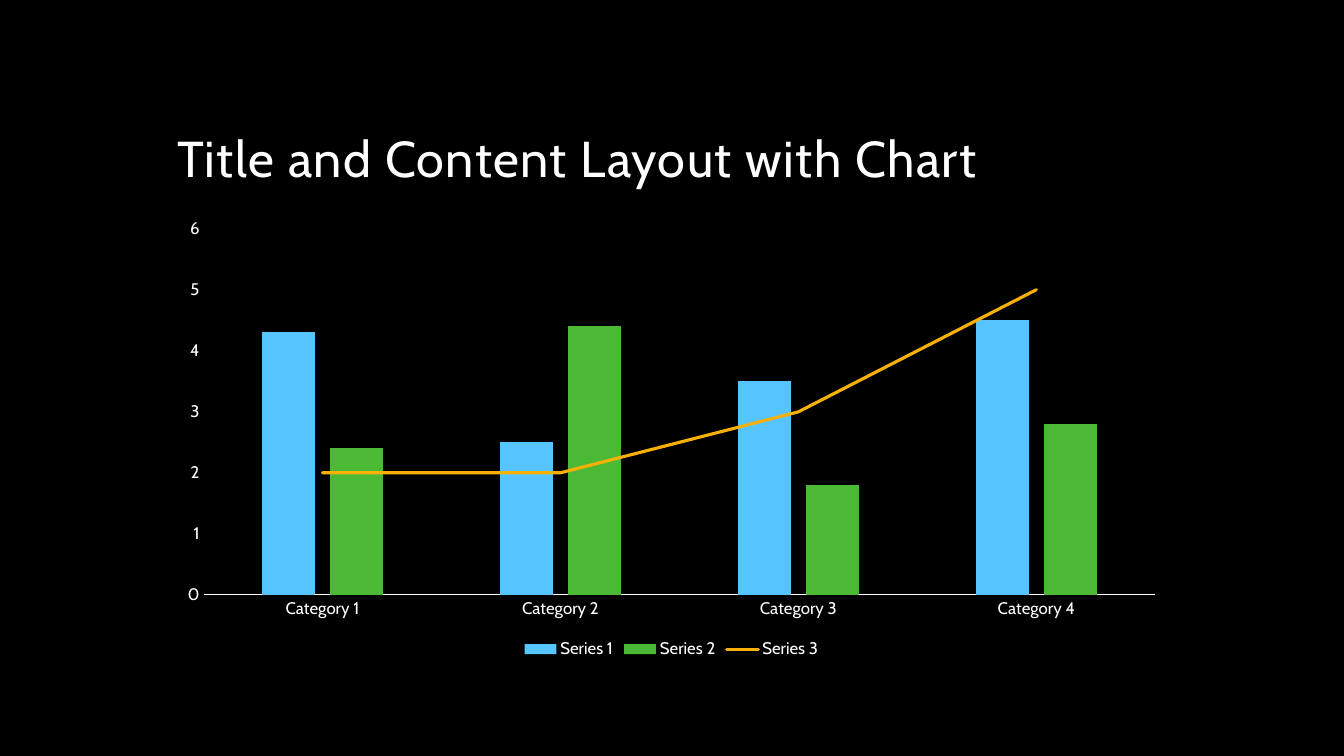
from dataclasses import dataclass

from lxml import etree
from pptx import Presentation
from pptx.chart.data import CategoryChartData
from pptx.dml.color import RGBColor
from pptx.enum.chart import XL_CHART_TYPE as ChartType
from pptx.enum.chart import XL_LEGEND_POSITION as LegendPos
from pptx.enum.chart import XL_MARKER_STYLE as MarkerStyle
from pptx.enum.chart import XL_TICK_MARK as TickMark
from pptx.enum.text import MSO_ANCHOR as Anchor
from pptx.oxml.ns import qn
from pptx.util import Inches, Pt


@dataclass(frozen=True)
class Theme:
    font: str = "Cabin"
    background: str = "000000"
    text: str = "FFFFFF"
    bars: tuple = ("56C5FF", "4BB836")
    trend: str = "F8B004"
    title_size: float = 36
    chart_size: float = 10
    label_size: float = 12
    axis_width: float = 0.75
    trend_width: float = 2.25


THEME = Theme()
CATEGORIES = [f"Category {n}" for n in range(1, 5)]
SERIES = {
    "Series 1": (4.3, 2.5, 3.5, 4.5),
    "Series 2": (2.4, 4.4, 1.8, 2.8),
    "Series 3": (2, 2, 3, 5),
}


def rgb(color):
    return RGBColor.from_string(color)


def style_font(font, size, color=THEME.text):
    font.name = THEME.font
    font.size = Pt(size)
    font.bold = False
    font.color.rgb = rgb(color)


def add_text(s, box, text, size, color=THEME.text, anchor=Anchor.TOP,
             line_spacing=1.0, spacing=0):
    tf = s.shapes.add_textbox(*map(Inches, box)).text_frame
    tf.word_wrap = True
    tf.vertical_anchor = anchor
    p = tf.paragraphs[0]
    p.line_spacing = line_spacing
    r = p.add_run()
    r.text = text
    style_font(r.font, size, color)
    r.font._element.set("spc", str(round(spacing * 100)))


def move_last_series_to_line(chart):
    bar = chart.plots[0]._element
    ser = bar.findall(qn("c:ser"))[-1]
    invert = ser.find(qn("c:invertIfNegative"))
    if invert is not None:
        ser.remove(invert)
    line = etree.Element(qn("c:lineChart"))
    etree.SubElement(line, qn("c:grouping")).set("val", "standard")
    etree.SubElement(line, qn("c:varyColors")).set("val", "0")
    line.append(ser)
    etree.SubElement(line, qn("c:marker")).set("val", "1")
    for axis_id in bar.findall(qn("c:axId")):
        etree.SubElement(line, qn("c:axId")).set("val", axis_id.get("val"))
    bar.addnext(line)


def style_axis(axis):
    axis.has_major_gridlines = False
    axis.major_tick_mark = TickMark.NONE
    axis.minor_tick_mark = TickMark.NONE
    style_font(axis.tick_labels.font, THEME.label_size)


def style_plots(chart):
    bars, lines = chart.plots
    bars.gap_width = 219
    bars.overlap = -27
    bars.vary_by_categories = False
    for ser, color in zip(bars.series, THEME.bars):
        ser.format.fill.solid()
        ser.format.fill.fore_color.rgb = rgb(color)
    trend = lines.series[0]
    trend.smooth = False
    trend.marker.style = MarkerStyle.NONE
    trend.format.line.color.rgb = rgb(THEME.trend)
    trend.format.line.width = Pt(THEME.trend_width)
    trend.format.line._get_or_add_ln().set("cap", "rnd")


def add_combo_chart(s, box):
    data = CategoryChartData()
    data.categories = CATEGORIES
    for name, values in SERIES.items():
        data.add_series(name, values)
    chart = s.shapes.add_chart(
        ChartType.COLUMN_CLUSTERED, *map(Inches, box), data).chart
    move_last_series_to_line(chart)
    style_plots(chart)
    style_font(chart.font, THEME.chart_size)
    chart.has_title = False
    for axis in (chart.category_axis, chart.value_axis):
        style_axis(axis)
    chart.category_axis.format.line.color.rgb = rgb(THEME.text)
    chart.category_axis.format.line.width = Pt(THEME.axis_width)
    chart.value_axis.format.line.fill.background()
    chart.has_legend = True
    chart.legend.position = LegendPos.BOTTOM
    chart.legend.include_in_layout = False
    style_font(chart.legend.font, THEME.label_size)


def add_chart_slide(prs, box):
    left, top, width, height = box
    title_height, gap = 1.5, 0.16
    chart_top = title_height + gap
    s = prs.slides.add_slide(prs.slide_layouts[6])
    s.background.fill.solid()
    s.background.fill.fore_color.rgb = rgb(THEME.background)
    add_text(s, (left, top, width, title_height),
             "Title and Content Layout with Chart", THEME.title_size,
             anchor=Anchor.BOTTOM, line_spacing=0.9, spacing=1)
    add_combo_chart(s, (left, top + chart_top, width, height - chart_top))


def main():
    prs = Presentation()
    prs.slide_width = Inches(13.33)
    prs.slide_height = Inches(7.5)
    add_chart_slide(prs, (1.66, 0.42, 10, 6.16))
    prs.save("out.pptx")


if __name__ == "__main__":
    main()
